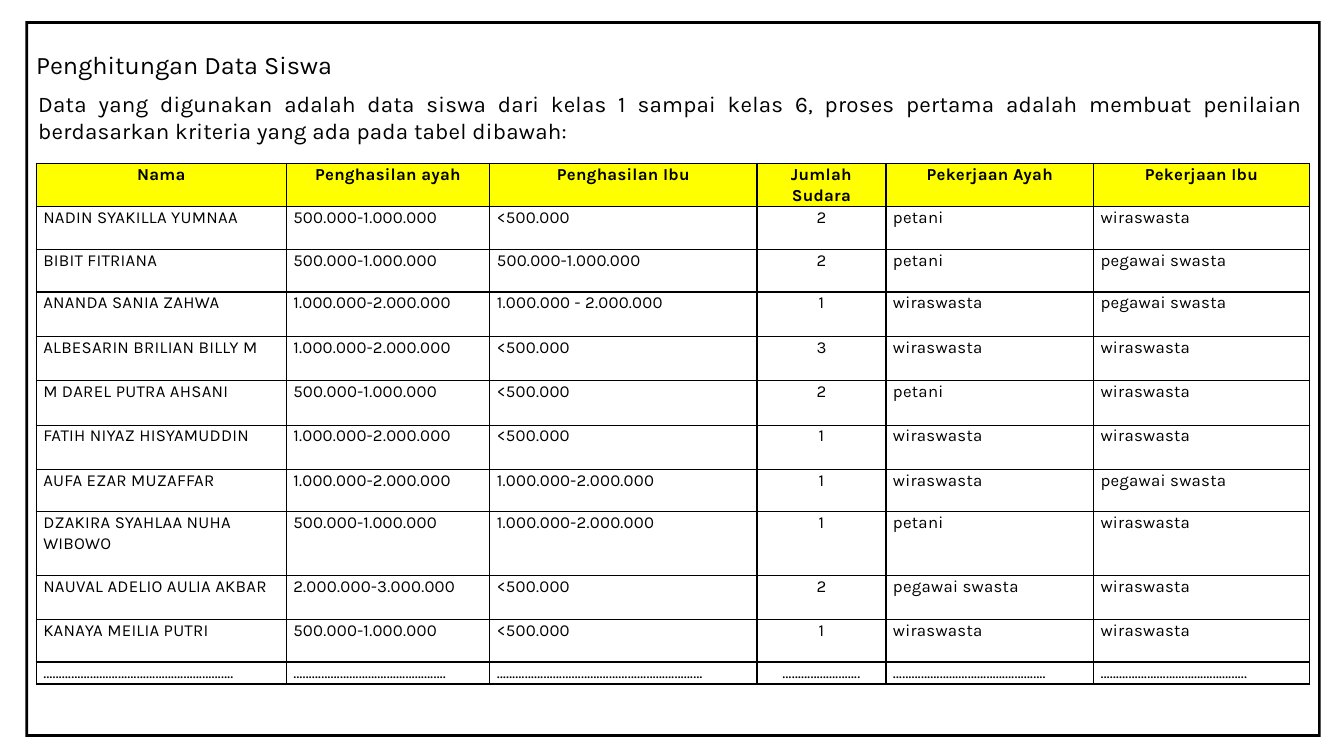
from dataclasses import dataclass

from lxml.etree import SubElement
from pptx import Presentation
from pptx.dml.color import RGBColor as Color
from pptx.enum.text import MSO_AUTO_SIZE as AutoSize, PP_ALIGN as Align
from pptx.oxml.ns import qn
from pptx.util import Pt


@dataclass(frozen=True)
class Theme:
    """Colours, font and type sizes of the slide."""
    font: str = "Karla"
    ink: str = "000000"
    header: str = "FFFF00"
    title_size: int = 18
    intro_size: int = 16
    table_size: int = 12
    tracking: int = 20
    leading: float = 1.07
    border: float = 1


COLUMN_WIDTHS = [178.6, 145.4, 190.8, 92.2, 148.3, 154.1]
ROW_HEIGHTS = [30.5, 31, 30.2, *[31.7] * 4, 30.2, 45.4, 31.7, 30.2, 15.8]
COUNT_COLUMN = 3
FARMER, TRADER, CLERK = "petani", "wiraswasta", "pegawai swasta"
UNDER_500, FROM_500 = "<500.000", "500.000-1.000.000"
FROM_1000, FROM_2000 = "1.000.000-2.000.000", "2.000.000-3.000.000"

STUDENTS = [
    ["Nama", "Penghasilan ayah", "Penghasilan Ibu", "Jumlah Sudara", "Pekerjaan Ayah", "Pekerjaan Ibu"],
    ["NADIN SYAKILLA YUMNAA", FROM_500, UNDER_500, "2", FARMER, TRADER],
    ["BIBIT FITRIANA", FROM_500, FROM_500, "2", FARMER, CLERK],
    ["ANANDA SANIA ZAHWA", FROM_1000, "1.000.000 - 2.000.000", "1", TRADER, CLERK],
    ["ALBESARIN BRILIAN BILLY M", FROM_1000, UNDER_500, "3", TRADER, TRADER],
    ["M DAREL PUTRA AHSANI", FROM_500, UNDER_500, "2", FARMER, TRADER],
    ["FATIH NIYAZ HISYAMUDDIN", FROM_1000, UNDER_500, "1", TRADER, TRADER],
    ["AUFA EZAR MUZAFFAR", FROM_1000, FROM_1000, "1", TRADER, CLERK],
    ["DZAKIRA SYAHLAA NUHA WIBOWO", FROM_500, FROM_1000, "1", FARMER, TRADER],
    ["NAUVAL ADELIO AULIA AKBAR", FROM_2000, UNDER_500, "2", CLERK, TRADER],
    ["KANAYA MEILIA PUTRI", FROM_500, UNDER_500, "1", TRADER, TRADER],
    ["…………………………………………………….", "………………………………………….",
     "…………………………………………………………", "…………………….",
     "………………………………………….", "……………………………………….."],
]


def write_text(frame, text, *, theme, size, bold=False, align=Align.LEFT, tracking=0, leading=None):
    """Write one formatted paragraph into a text frame."""
    para = frame.paragraphs[0]
    para.alignment = align
    para.line_spacing = leading
    span = para.add_run()
    span.text = text
    span.font.name = theme.font
    span.font.size = Pt(size)
    span.font.bold = bold
    span.font.color.rgb = Color.from_string(theme.ink)
    if tracking:
        span.font._element.set("spc", str(tracking))


class Page:
    """Draws elements on one slide in one theme."""

    def __init__(self, slide, theme):
        """Keep the slide and its theme."""
        self.slide = slide
        self.theme = theme

    def text(self, text, left, top, width, height, wrap=True, **style):
        """Add a text box that grows with its text."""
        box = self.slide.shapes.add_textbox(Pt(left), Pt(top), Pt(width), Pt(height))
        box.text_frame.word_wrap = wrap
        box.text_frame.auto_size = AutoSize.SHAPE_TO_FIT_TEXT
        write_text(box.text_frame, text, theme=self.theme, **style)

    def borders(self, cell):
        """Rule all four sides of a cell."""
        properties = cell._tc.get_or_add_tcPr()
        for position, side in enumerate(("lnL", "lnR", "lnT", "lnB")):
            line = SubElement(properties, qn(f"a:{side}"), w=str(Pt(self.theme.border)))
            fill = SubElement(line, qn("a:solidFill"))
            SubElement(fill, qn("a:srgbClr"), val=self.theme.ink)
            properties.insert(position, line)

    def table(self, rows, left, top, widths, heights):
        """Add a ruled table with a coloured header row."""
        table = self.slide.shapes.add_table(
            len(rows), len(widths), Pt(left), Pt(top), Pt(sum(widths)), Pt(sum(heights))).table
        table.horz_banding = False
        for column, width in zip(table.columns, widths):
            column.width = Pt(width)
        for row, height in zip(table.rows, heights):
            row.height = Pt(height)
        for row_index, values in enumerate(rows):
            for column_index, value in enumerate(values):
                self.cell(table.cell(row_index, column_index), value,
                          header=row_index == 0, centred=column_index == COUNT_COLUMN)

    def cell(self, cell, value, header, centred):
        """Fill, rule and write one table cell."""
        cell.margin_left = cell.margin_right = Pt(5)
        cell.margin_top = cell.margin_bottom = 0
        if header:
            cell.fill.solid()
            cell.fill.fore_color.rgb = Color.from_string(self.theme.header)
        else:
            cell.fill.background()
        self.borders(cell)
        write_text(cell.text_frame, value, theme=self.theme, size=self.theme.table_size,
                   bold=header, align=Align.CENTER if header or centred else Align.LEFT,
                   tracking=self.theme.tracking, leading=self.theme.leading)

    def frame(self, left, top, width, height, thickness):
        """Add a hollow rectangular frame as one outline."""
        right, bottom = left + width, top + height
        inner_left, inner_top = left + thickness, top + thickness
        inner_right, inner_bottom = right - thickness, bottom - thickness
        builder = self.slide.shapes.build_freeform(Pt(left), Pt(top))
        builder.add_line_segments(
            [(Pt(x), Pt(y)) for x, y in ((left, bottom), (right, bottom), (right, top))])
        builder.move_to(Pt(inner_right), Pt(inner_bottom))
        builder.add_line_segments(
            [(Pt(x), Pt(y)) for x, y in (
                (inner_left, inner_bottom), (inner_left, inner_top), (inner_right, inner_top))])
        shape = builder.convert_to_shape()
        shape.shadow.inherit = False
        shape.fill.solid()
        shape.fill.fore_color.rgb = Color.from_string(self.theme.ink)
        shape.line.fill.background()


def main():
    """Build and save the student data slide."""
    theme = Theme()
    deck = Presentation()
    deck.slide_width, deck.slide_height = Pt(960), Pt(540)
    page = Page(deck.slides.add_slide(deck.slide_layouts[6]), theme)
    page.text("Penghitungan Data Siswa", 18.7, 31.7, 236.2, 28.8, wrap=False, size=theme.title_size)
    page.text("Data yang digunakan adalah data siswa dari kelas 1 sampai kelas 6, proses pertama "
              "adalah membuat penilaian berdasarkan kriteria yang ada pada tabel dibawah:",
              20.2, 61.2, 918.7, 46.1, size=theme.intro_size, align=Align.JUSTIFY,
              tracking=theme.tracking)
    page.table(STUDENTS, 25.9, 116.6, COLUMN_WIDTHS, ROW_HEIGHTS)
    page.frame(18.2, 15.1, 925.2, 511.2, 1.9)
    deck.save("out.pptx")


if __name__ == "__main__":
    main()
